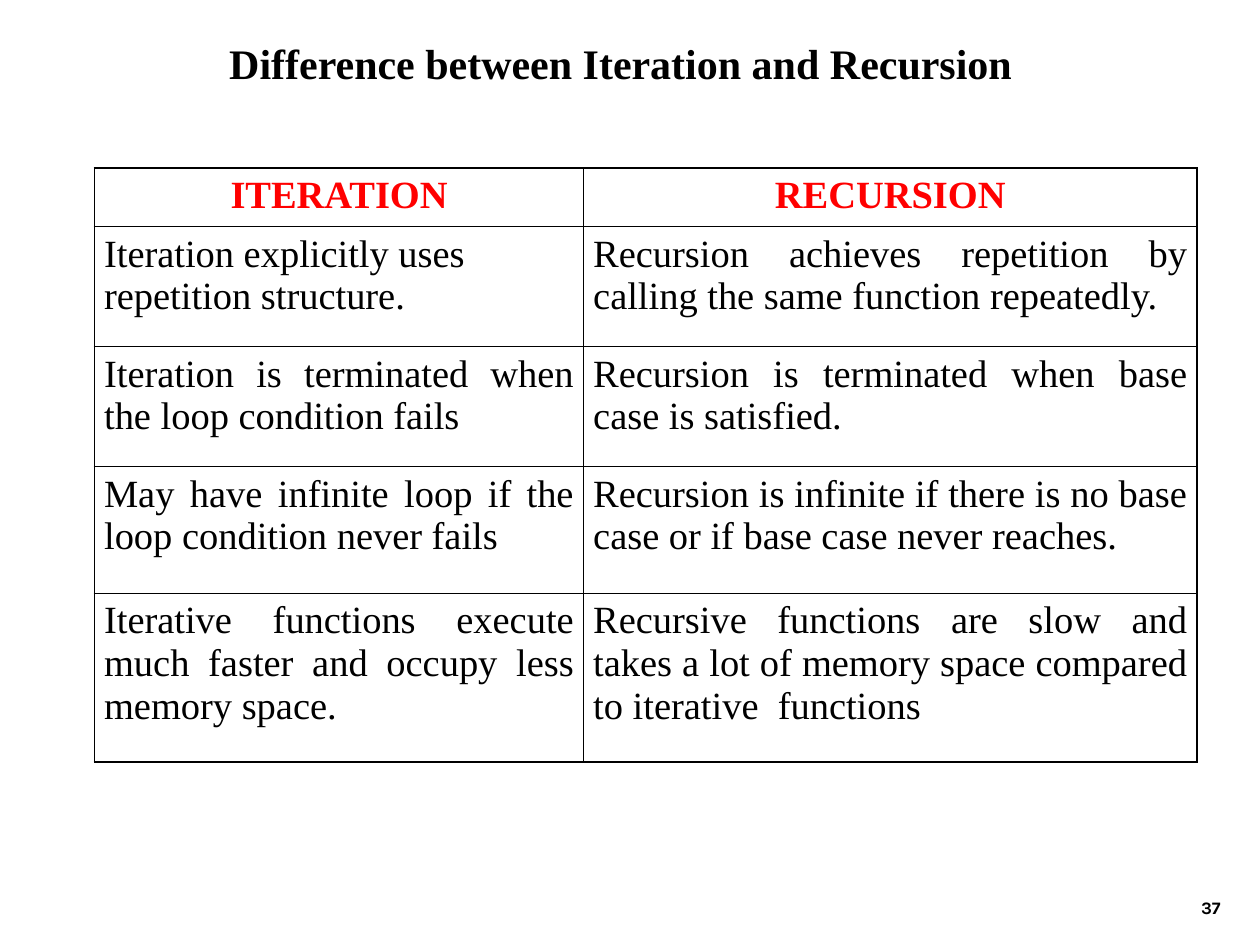
from lxml import etree
from pptx import Presentation
from pptx.dml.color import RGBColor
from pptx.enum.text import MSO_ANCHOR, PP_ALIGN
from pptx.oxml.ns import qn
from pptx.util import Pt

COLORS = {"ink": "000000", "heading": "FF0000"}
SERIF = "Times New Roman"
THIN, THICK = 0.45, 1.08


def style(paragraph, font_name, size, color, bold, alignment):
    paragraph.alignment = alignment
    paragraph.font.name = font_name
    paragraph.font.size = Pt(size)
    paragraph.font.bold = bold
    paragraph.font.color.rgb = RGBColor.from_string(COLORS[color])


def add_border(cell, side, width):
    properties = cell._tc.get_or_add_tcPr()
    line = etree.SubElement(properties, qn(f"a:{side}"), w=str(Pt(width)))
    fill = etree.SubElement(line, qn("a:solidFill"))
    etree.SubElement(fill, qn("a:srgbClr"), val=COLORS["ink"])


prs = Presentation()
prs.slide_width, prs.slide_height = Pt(720), Pt(540)
slide = prs.slides.add_slide(prs.slide_layouts[5])

title = slide.shapes.title
title.left, title.top, title.width, title.height = Pt(31.5), Pt(18), Pt(646.5), Pt(36)
title.text_frame.text = "Difference between Iteration and Recursion"
title.text_frame.vertical_anchor = MSO_ANCHOR.TOP
style(title.text_frame.paragraphs[0], SERIF, 24, "ink", True, PP_ALIGN.CENTER)

page_number = slide.shapes.add_textbox(Pt(554.5), Pt(492), Pt(150), Pt(36)).text_frame
page_number.word_wrap = True
page_number.vertical_anchor = MSO_ANCHOR.BOTTOM
page_number.text = "37"
style(page_number.paragraphs[0], "Karla", 10, "ink", True, PP_ALIGN.RIGHT)

differences = [
    ("ITERATION", "RECURSION"),
    ("Iteration explicitly uses repetition structure.",
     "Recursion achieves repetition by calling the same function repeatedly."),
    ("Iteration is terminated when the loop condition fails",
     "Recursion is terminated when base case is satisfied."),
    ("May have infinite loop if the loop condition never fails",
     "Recursion is infinite if there is no base case or if base case never reaches."),
    ("Iterative functions execute much faster and occupy less memory space.",
     "Recursive functions are slow and takes a lot of memory space compared to iterative  functions"),
]
column_widths = [279.5, 350.5]
row_heights = [33, 68.5, 68.5, 72.5, 96.5]
last_row, last_column = len(row_heights) - 1, len(column_widths) - 1

comparison = slide.shapes.add_table(
    len(row_heights), len(column_widths),
    Pt(54), Pt(96), Pt(sum(column_widths)), Pt(sum(row_heights))).table
comparison.first_row = comparison.horz_banding = False
for column, width in zip(comparison.columns, column_widths):
    column.width = Pt(width)
for row, height in zip(comparison.rows, row_heights):
    row.height = Pt(height)

for r, entries in enumerate(differences):
    for c, entry in enumerate(entries):
        cell = comparison.cell(r, c)
        cell.text = entry
        cell.margin_left = cell.margin_right = Pt(5.5)
        cell.margin_top = cell.margin_bottom = Pt(3.6)
        paragraph = cell.text_frame.paragraphs[0]
        if r == 0:
            style(paragraph, SERIF, 22, "heading", True, PP_ALIGN.CENTER)
        else:
            alignment = PP_ALIGN.LEFT if (r, c) == (1, 0) else PP_ALIGN.JUSTIFY
            style(paragraph, SERIF, 22, "ink", False, alignment)
        outer_edges = {"lnL": c == 0, "lnR": c == last_column,
                       "lnT": r == 0, "lnB": r == last_row}
        for side, is_outer in outer_edges.items():
            add_border(cell, side, THICK if is_outer else THIN)
        cell.fill.background()

prs.save("out.pptx")
